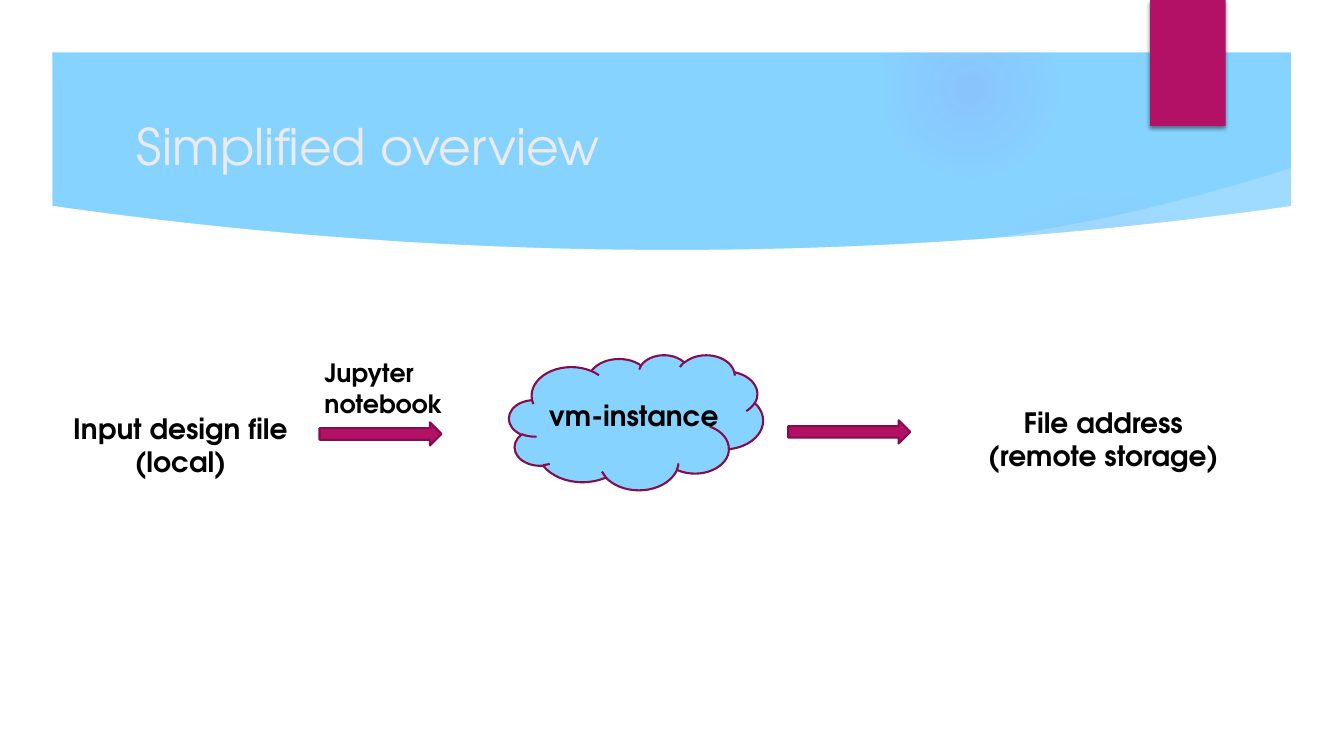
import pptx
import pptx.dml.color
import pptx.enum.shapes
import pptx.enum.text
import pptx.oxml
import pptx.util

RGB = pptx.dml.color.RGBColor.from_string
PRESET = pptx.enum.shapes.MSO_SHAPE
ALIGN = pptx.enum.text.PP_ALIGN
ANCHOR = pptx.enum.text.MSO_ANCHOR
A_NS = 'xmlns:a="http://schemas.openxmlformats.org/drawingml/2006/main"'

theme = {
    "font": "TeX Gyre Adventor",
    "sky": "87D3FF", "paper": "FFFFFF", "glow": "9B6BF2",
    "accent": "B31166", "outline": "840D4B",
    "heading": "EBEBEB", "ink": "000000",
    "title_size": 36, "node_size": 20, "step_size": 18, "outline_width": 1.5,
}

columns, rows = 40, 22.5
cell = pptx.util.Inches(1 / 3)


def cells(*lengths):
    return [round(length * cell) for length in lengths]


def arc(start, end, sag, steps=48):
    points = []
    for step in range(steps + 1):
        t = step / steps
        x = start[0] + (end[0] - start[0]) * t
        y = start[1] + (end[1] - start[1]) * t + sag * 4 * t * (1 - t)
        points.append((x, y))
    return points


deck = pptx.Presentation()
deck.slide_width, deck.slide_height = cells(columns, rows)
slide = deck.slides.add_slide(deck.slide_layouts[6])
slide.background.fill.solid()
slide.background.fill.fore_color.rgb = RGB(theme["sky"])

glows = [
    (28.23, 5.49, 9.24, [(0, 7), (36, 6), (69, 0)]),
    (26.25, 0.03, 5.25, [(0, 14), (36, 7), (73, 0)]),
]
for left, top, size, stops in glows:
    glow = slide.shapes.add_shape(PRESET.OVAL, *cells(left, top, size, size))
    glow.shadow.inherit = False
    glow.line.fill.background()
    stop_xml = "".join(
        f'<a:gs pos="{pos * 1000}"><a:srgbClr val="{theme["glow"]}">'
        f'<a:alpha val="{alpha * 1000}"/></a:srgbClr></a:gs>'
        for pos, alpha in stops
    )
    glow.element.spPr.find(".//{*}prstGeom").addnext(pptx.oxml.parse_xml(
        f'<a:gradFill {A_NS}><a:gsLst>{stop_xml}</a:gsLst><a:path path="circle">'
        '<a:fillToRect l="50000" t="50000" r="50000" b="50000"/></a:path></a:gradFill>'
    ))

sheen = arc((27.9, 7.29), (38.49, 4.98), 0.28) + [(38.52, 6.42), (28, 7.5)]
floor = arc((1.5, 6.12), (38.52, 6.12), 1.32) + [(38.52, 21), (1.5, 21)]
frame_outside = [(0, 0), (0, rows), (columns, rows), (columns, 0)]
frame_inside = [(1.56, 1.56), (38.43, 1.56), (38.43, 20.94), (1.56, 20.94)]

for contours, opacity in [([sheen], 20), ([floor], 100), ([frame_outside, frame_inside], 100)]:
    outline = slide.shapes.build_freeform(*cells(*contours[0][0]), scale=1.0)
    for number, contour in enumerate(contours):
        if number:
            outline.move_to(*cells(*contour[0]))
        outline.add_line_segments([cells(*point) for point in contour[1:]], close=True)
    panel = outline.convert_to_shape()
    panel.shadow.inherit = False
    panel.line.fill.background()
    panel.fill.solid()
    panel.fill.fore_color.rgb = RGB(theme["paper"])
    if opacity < 100:
        panel.element.spPr.find("{*}solidFill/{*}srgbClr").append(
            pptx.oxml.parse_xml(f'<a:alpha {A_NS} val="{opacity * 1000}"/>'))

bookmark = slide.shapes.add_shape(PRESET.RECTANGLE, *cells(34.23, 0, 2.25, 3.75))
bookmark.shadow.inherit = False
bookmark.line.fill.background()
bookmark.fill.solid()
bookmark.fill.fore_color.rgb = RGB(theme["accent"])
bookmark.element.spPr.find("{*}effectLst").append(pptx.oxml.parse_xml(
    f'<a:outerShdw {A_NS} blurRad="38100" dist="25400" dir="5400000" rotWithShape="0">'
    '<a:srgbClr val="000000"><a:alpha val="45000"/></a:srgbClr></a:outerShdw>'
))

flow = [
    (PRESET.RIGHT_ARROW, (9.51, 12.57, 3.63, 0.69), "accent"),
    (PRESET.CLOUD, (15.15, 10.56, 7.56, 4.02), "sky"),
    (PRESET.RIGHT_ARROW, (23.46, 12.51, 3.63, 0.69), "accent"),
]
for preset, box, colour in flow:
    stage = slide.shapes.add_shape(preset, *cells(*box))
    stage.shadow.inherit = False
    stage.fill.solid()
    stage.fill.fore_color.rgb = RGB(theme[colour])
    stage.line.color.rgb = RGB(theme["outline"])
    stage.line.width = pptx.util.Pt(theme["outline_width"])

labels = [
    (["Simplified overview"], (3.78, 3.18, 28.74, 2.31), "title_size", "heading", ALIGN.LEFT),
    (["Input design file", "(local)"], (1.86, 12.09, 7.02, 2.31), "node_size", "ink", ALIGN.CENTER),
    (["vm-instance"], (16.05, 11.7, 5.97, 1.32), "node_size", "ink", ALIGN.LEFT),
    (["File address", "(remote storage)"], (29.1, 11.91, 7.47, 2.31), "node_size", "ink", ALIGN.CENTER),
    (["Jupyter", "notebook"], (9.36, 10.5, 4.2, 2.13), "step_size", "ink", ALIGN.LEFT),
]
for lines, box, size, colour, align in labels:
    heading = colour == "heading"
    label = slide.shapes.add_textbox(*cells(*box)).text_frame
    label.word_wrap = heading
    label.vertical_anchor = ANCHOR.MIDDLE if heading else ANCHOR.TOP
    label.text = "\n".join(lines)
    for paragraph in label.paragraphs:
        paragraph.alignment = align
        paragraph.font.name = theme["font"]
        paragraph.font.size = pptx.util.Pt(theme[size])
        paragraph.font.bold = not heading
        paragraph.font.color.rgb = RGB(theme[colour])

deck.save("out.pptx")
